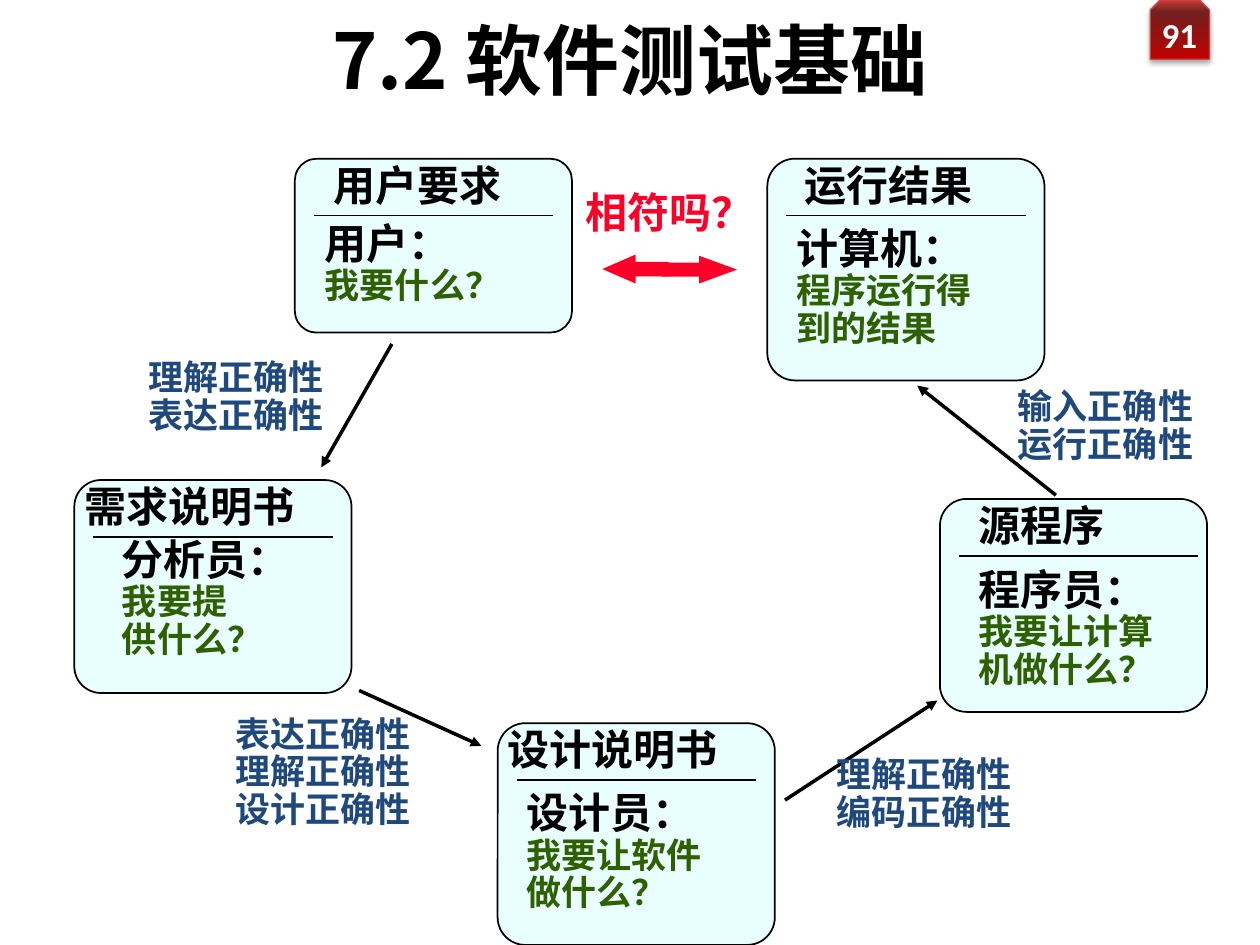
from lxml import etree
from pptx import Presentation
from pptx.dml.color import RGBColor
from pptx.enum.shapes import MSO_CONNECTOR as CONNECTOR, MSO_SHAPE as SHAPE
from pptx.enum.text import MSO_ANCHOR as ANCHOR, MSO_AUTO_SIZE as AUTO, PP_ALIGN as ALIGN
from pptx.oxml import parse_xml
from pptx.oxml.ns import nsdecls, qn
from pptx.util import Inches, Pt

COLORS = {"black": "000000", "white": "FFFFFF", "card": "E9FFFF", "green": "2E6000",
          "blue": "1F497D", "red": "FC0128", "badge": "C00000", "badge_dark": "70201E",
          "badge_light": "CE3B37", "badge_line": "BF4C48"}
COLS, ROWS = 100, 75
CJK = "Noto Sans CJK SC"

# column, row, width, height, heading, heading dx, body (dx, dy, width), lines
CARDS = [
    (23.4, 12.6, 22, 13.8, "用户要求", 2.1, (1.4, 4.6, 20.9), ["用户：", "我要什么？"]),
    (60.9, 12.6, 22, 17.6, "运行结果", 2, (1.3, 5, 16), ["计算机：", "程序运行得", "到的结果"]),
    (74.6, 39.6, 21.2, 16.9, "源程序", 2.1, (2.1, 5.1, 16), ["程序员：", "我要让计算", "机做什么？"]),
    (39.5, 57.4, 22, 17.6, "设计说明书", -0.2, (1.3, 5, 16), ["设计员：", "我要让软件", "做什么？"]),
    (5.9, 38.1, 22, 16.9, "需求说明书", -0.2, (2.8, 4.2, 13.7), ["分析员：", "我要提", "供什么？"]),
]
# arrow start, arrow end, label corner, label lines
STEPS = [
    ((31.1, 27.3), (25.5, 37.1), (10.8, 28.1), ["理解正确性", "表达正确性"]),
    ((28.5, 54.8), (38.2, 59.2), (17.7, 56.4), ["表达正确性", "理解正确性", "设计正确性"]),
    ((62.3, 63.5), (74.4, 55.6), (65.4, 59.6), ["理解正确性", "编码正确性"]),
    ((83.8, 39.3), (72.8, 30.6), (79.8, 30.4), ["输入正确性", "运行正确性"]),
]


class Deck:
    """Holds the style and the current slide; places elements on a grid."""

    def __init__(self):
        self.prs = Presentation()
        self.prs.slide_width, self.prs.slide_height = Inches(10), Inches(7.5)
        self.s = self.prs.slides.add_slide(self.prs.slide_layouts[5])

    def grid(self, *lengths):
        """Turn alternating columns and rows into slide lengths."""
        units = (self.prs.slide_width / COLS, self.prs.slide_height / ROWS)
        return [round(n * units[i % 2]) for i, n in enumerate(lengths)]

    def fill_text(self, tf, lines, font=CJK, align=ALIGN.LEFT, spacing=0.9):
        """Fill a text frame with (text, size, color) paragraphs."""
        for i, (text, size, color) in enumerate(lines):
            p = tf.paragraphs[0] if i == 0 else tf.add_paragraph()
            p.alignment, p.line_spacing = align, spacing
            r = p.add_run()
            r.text = text
            for name, value in {"size": Pt(size), "bold": True, "name": font}.items():
                setattr(r.font, name, value)
            r.font.color.rgb = RGBColor.from_string(COLORS[color])
            etree.SubElement(r.font._element, qn("a:ea"), typeface=font)

    def title(self, text):
        sp = self.s.shapes.title
        sp.left, sp.top, sp.width, sp.height = self.grid(5, 0.5, 90, 12.5)
        sp.text_frame.vertical_anchor = ANCHOR.TOP
        self.fill_text(sp.text_frame, [(text, 44, "black")], align=ALIGN.CENTER, spacing=1.0)

    def text(self, box, lines, wrap=False, anchor=ANCHOR.TOP, grow=True, **style):
        tf = self.s.shapes.add_textbox(*self.grid(*box)).text_frame
        tf.word_wrap, tf.vertical_anchor = wrap, anchor
        tf.auto_size = AUTO.SHAPE_TO_FIT_TEXT if grow else AUTO.NONE
        self.fill_text(tf, lines, **style)

    def shape(self, kind, box, fill, line=None, width=1, adjust=()):
        sp = self.s.shapes.add_shape(kind, *self.grid(*box))
        sp.shadow.inherit = False
        for i, value in enumerate(adjust):
            sp.adjustments[i] = value
        sp.fill.solid()
        sp.fill.fore_color.rgb = RGBColor.from_string(COLORS[fill])
        if line:
            sp.line.color.rgb = RGBColor.from_string(COLORS[line])
            sp.line.width = Pt(width)
        else:
            sp.line.fill.background()
        return sp

    def line(self, start, end, width=1, arrow=False):
        c = self.s.shapes.add_connector(CONNECTOR.STRAIGHT, *self.grid(*start, *end))
        c.line.color.rgb = RGBColor.from_string(COLORS["black"])
        c.line.width = Pt(width)
        if arrow:
            etree.SubElement(c._element.spPr.find(qn("a:ln")), qn("a:tailEnd"), type="triangle")
        etree.SubElement(c._element.spPr, qn("a:effectLst"))

    def badge(self, number):
        sp = self.shape(SHAPE.SNIP_2_SAME_RECTANGLE, (91.3, 0, 4.7, 4.7), "badge", "badge_line", 0.75)
        stops = "".join(f'<a:gs pos="{pos}000"><a:srgbClr val="{COLORS[name]}"/></a:gs>'
                        for pos, name in ((0, "badge"), (80, "badge_dark"), (100, "badge_light")))
        spPr = sp._element.spPr
        spPr.replace(spPr.find(qn("a:solidFill")), parse_xml(
            f'<a:gradFill {nsdecls("a")}><a:gsLst>{stops}</a:gsLst><a:lin ang="16200000"/></a:gradFill>'))
        spPr.find(qn("a:effectLst")).append(parse_xml(
            f'<a:outerShdw {nsdecls("a")} blurRad="{Pt(3.1)}" dist="{Pt(1.8)}" dir="5400000">'
            '<a:srgbClr val="000000"><a:alpha val="35000"/></a:srgbClr></a:outerShdw>'))
        self.text((89.7, 0.7, 6.3, 4), [(number, 20, "white")], wrap=True, anchor=ANCHOR.MIDDLE,
                  grow=False, font="Calibri", align=ALIGN.RIGHT, spacing=1.0)

    def card(self, x, y, w, h, heading, heading_dx, body, lines):
        self.shape(SHAPE.ROUNDED_RECTANGLE, (x, y, w, h), "card", "black", adjust=[0.125])
        self.text((x + heading_dx, y, 2.1 + 3.33 * len(heading), 4.6), [(heading, 24, "black")])
        self.line((x + 1.5, y + 4.5), (x + 20.5, y + 4.5))
        dx, dy, width = body
        role, *speech = lines
        self.text((x + dx, y + dy, width, 1.6 + 3 * len(lines)),
                  [(role, 24, "black")] + [(t, 20, "green") for t in speech], wrap=True)

    def step(self, start, end, corner, lines):
        self.line(start, end, 2, arrow=True)
        self.text((*corner, 16, 1 + 3 * len(lines)), [(t, 20, "blue") for t in lines])

    def comparison(self, question):
        left = self.shape(SHAPE.RIGHT_ARROW, (47.8, 20.2, 5.3, 2.3), "red", adjust=[0.5, 1.15])
        left.rotation = 180
        self.shape(SHAPE.RIGHT_ARROW, (52.5, 20.3, 6, 2.2), "red", adjust=[0.5, 1.37])
        self.text((45.5, 14.8, 16.8, 4.6), [(question, 24, "red")], wrap=True)


def main():
    deck = Deck()
    deck.badge("91")
    deck.title("7.2 软件测试基础")
    for card in CARDS:
        deck.card(*card)
    for step in STEPS:
        deck.step(*step)
    deck.comparison("相符吗？")
    deck.prs.save("out.pptx")


if __name__ == "__main__":
    main()
